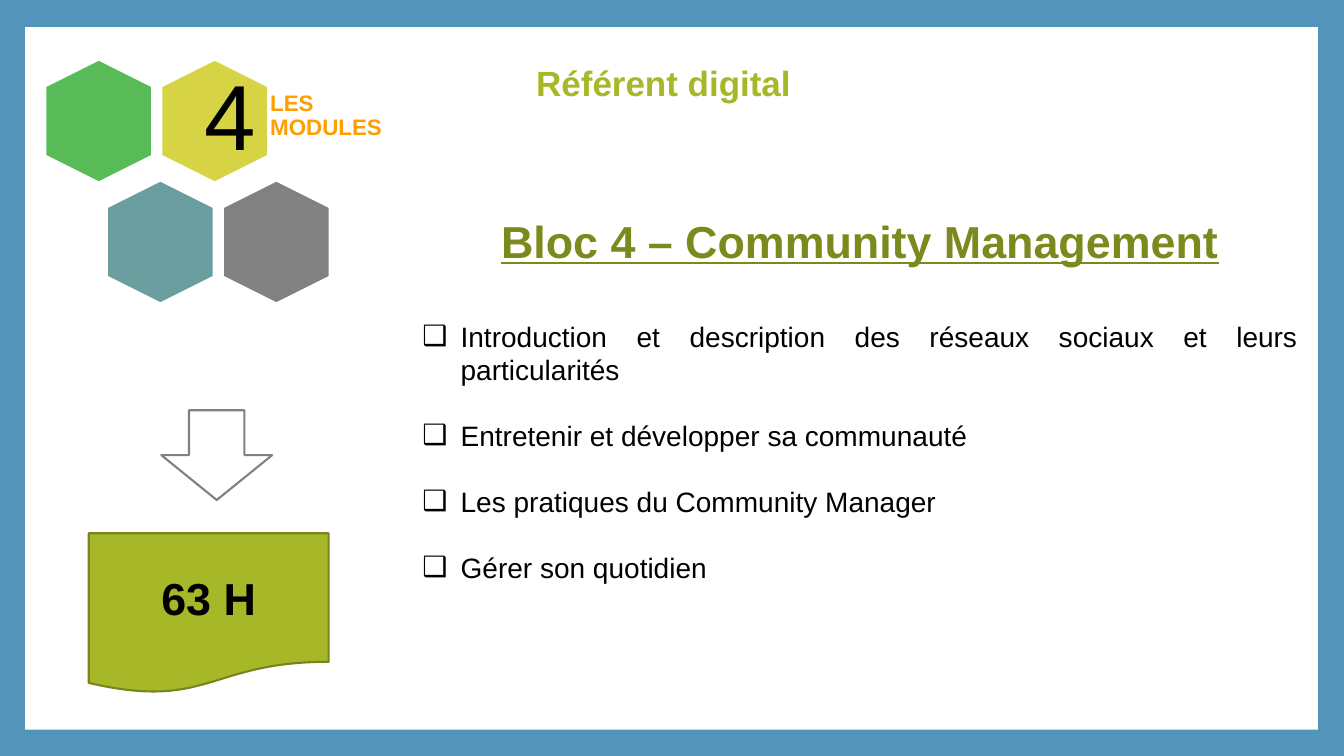
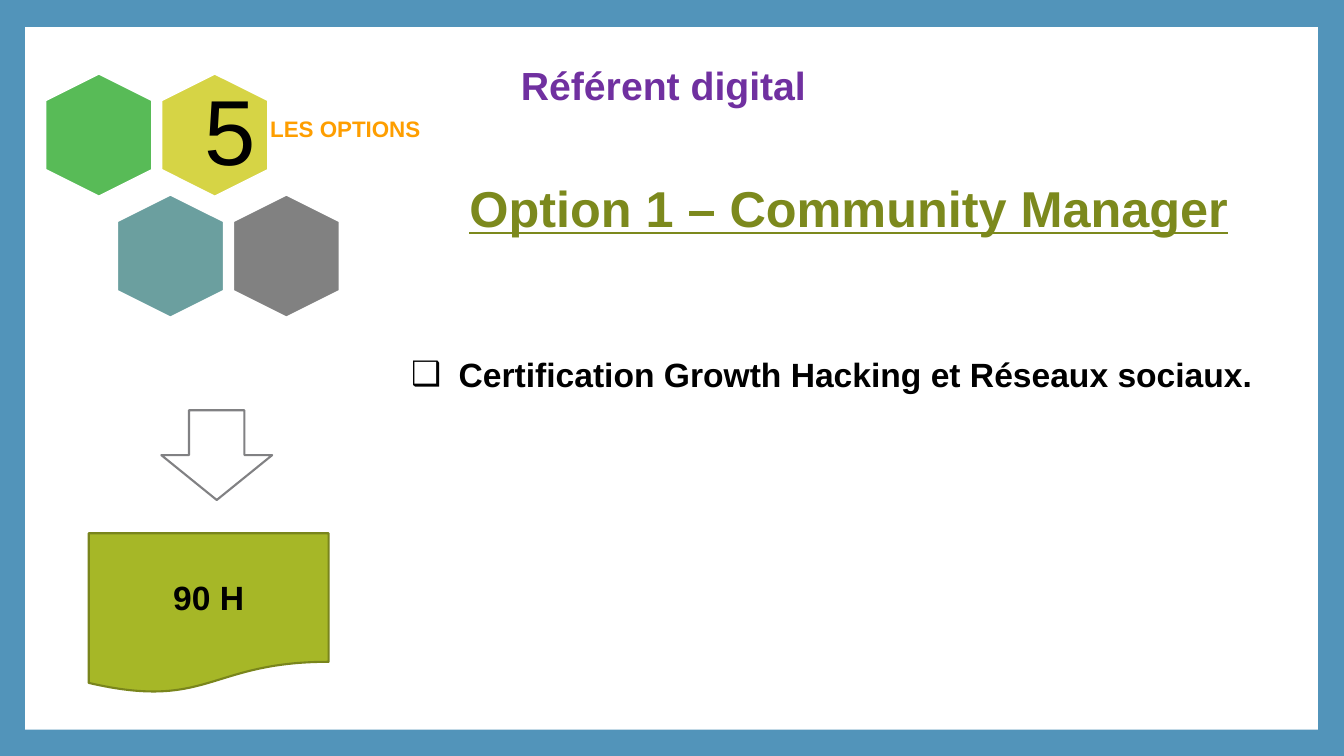
from lxml import etree
from pptx import Presentation
from pptx.dml.color import RGBColor
from pptx.enum.shapes import MSO_SHAPE as Shape
from pptx.enum.text import MSO_ANCHOR as Anchor, PP_ALIGN as Align
from pptx.oxml.ns import qn
from pptx.util import Inches, Pt

FONT = "Arial"
BORDER, WHITE, BLACK = "5294BA", "FFFFFF", "000000"
GREEN, YELLOW, TEAL, GREY = "58BB57", "D6D445", "6B9F9F", "818181"
LIME, LIME_EDGE, OLIVE = "A6B727", "79851C", "7C891D"
ORANGE, PURPLE, ARROW_EDGE = "FE9E00", "7030A0", "818183"

HEXAGON_LENGTH, HEXAGON_WIDTH = 1.22, 1.06
COLUMN_STEP, ROW_STEP = 1.15, 1.2


def rgb(color):
    return RGBColor.from_string(color)


def style_text(para, size, color, bold=False, underline=False):
    for span in para.runs:
        span.font.name = FONT
        span.font.size = Pt(size)
        span.font.bold = bold
        span.font.underline = underline
        span.font.color.rgb = rgb(color)


def add_shape(page, kind, left, top, width, height, fill, edge=None):
    shape = page.shapes.add_shape(
        kind, Inches(left), Inches(top), Inches(width), Inches(height))
    shape.shadow.inherit = False
    shape.fill.solid()
    shape.fill.fore_color.rgb = rgb(fill)
    if edge:
        shape.line.color.rgb = rgb(edge)
        shape.line.width = Pt(1.5)
    else:
        shape.line.fill.background()
    return shape


def add_box(page, left, top, width, height, inset=None, anchor=Anchor.TOP):
    box = page.shapes.add_textbox(
        Inches(left), Inches(top), Inches(width), Inches(height))
    frame = box.text_frame
    frame.word_wrap = True
    frame.vertical_anchor = anchor
    if inset is not None:
        frame.margin_left = frame.margin_right = Inches(inset)
        frame.margin_top = frame.margin_bottom = Inches(inset)
    return frame


def add_bullet(para, indent):
    """Give the paragraph a hanging square bullet."""
    props = para._p.get_or_add_pPr()
    props.set("marL", str(Inches(indent)))
    props.set("indent", str(-Inches(indent)))
    color = etree.SubElement(props, qn("a:buClr"))
    etree.SubElement(color, qn("a:srgbClr"), val=BLACK)
    etree.SubElement(props, qn("a:buFont"), typeface=FONT)
    etree.SubElement(props, qn("a:buChar"), char="❑")


def add_page(deck, title_size, title_color):
    """Blank page with the white panel and the course title."""
    page = deck.slides.add_slide(deck.slide_layouts[6])
    add_shape(page, Shape.RECTANGLE, 0.25, 0.27, 12.82, 6.97, WHITE)
    para = add_box(page, 2.26, 0.56, 8.64, 0.55).paragraphs[0]
    para.text = "Référent digital"
    para.alignment = Align.CENTER
    style_text(para, title_size, title_color, bold=True)
    return page


def add_section_badge(page, number, label, label_width, top, lower_left):
    # Two rows of two hexagons
    rows = [(0.37, (GREEN, YELLOW)), (lower_left, (TEAL, GREY))]
    for row, (left, colors) in enumerate(rows):
        for column, color in enumerate(colors):
            hexagon = add_shape(
                page, Shape.HEXAGON, left + column * COLUMN_STEP,
                top + row * ROW_STEP, HEXAGON_LENGTH, HEXAGON_WIDTH,
                color, WHITE)
            hexagon.rotation = 90

    # Section number and name
    number_frame = add_box(page, 1.76, top + 0.11, 0.73, 0.84, 0.27, Anchor.MIDDLE)
    label_frame = add_box(page, 2.61, top - 0.29, label_width, 1.54, 0.07, Anchor.MIDDLE)
    number_frame.text, label_frame.text = number, label
    number_para, label_para = number_frame.paragraphs[0], label_frame.paragraphs[0]
    number_para.alignment = Align.CENTER
    number_para.line_spacing = label_para.line_spacing = 0.9
    style_text(number_para, 66, BLACK)
    style_text(label_para, 16, ORANGE, bold=True)


def add_duration(page, hours, size):
    add_shape(page, Shape.DOWN_ARROW, 1.6, 4.07, 1.1, 0.89, WHITE, ARROW_EDGE)
    document = add_shape(page, Shape.FLOWCHART_DOCUMENT,
                         0.88, 5.29, 2.38, 1.59, LIME, LIME_EDGE)
    document.text_frame.text = hours
    document.text_frame.vertical_anchor = Anchor.MIDDLE
    para = document.text_frame.paragraphs[0]
    para.alignment = Align.CENTER
    style_text(para, size, BLACK, bold=True)


def add_program(page, place, heading, heading_size, heading_gap,
                items, item_size, indent, bold=False):
    """Underlined heading followed by the bulleted topics."""
    frame = add_box(page, *place)
    frame.text = heading
    para = frame.paragraphs[0]
    para.alignment = Align.CENTER
    para.space_after = Pt(heading_gap)
    style_text(para, heading_size, OLIVE, bold=True, underline=True)
    for item in items:
        para = frame.add_paragraph()
        para.text = item
        para.alignment = Align.JUSTIFY
        para.space_after = Pt(23)
        style_text(para, item_size, BLACK, bold)
        add_bullet(para, indent)


def main():
    deck = Presentation()
    deck.slide_width, deck.slide_height = Inches(13.33), Inches(7.5)
    background = deck.slide_master.background.fill
    background.solid()
    background.fore_color.rgb = rgb(BORDER)

    # Module page
    page = add_page(deck, 25, LIME)
    add_section_badge(page, "4", "LES MODULES", 1.51, top=0.67, lower_left=0.98)
    add_program(page, (4.09, 2.07, 8.88, 3.97),
                "Bloc 4 – Community Management", 32, 37,
                ["Introduction et description des réseaux sociaux et leurs particularités",
                 "Entretenir et développer sa communauté",
                 "Les pratiques du Community Manager",
                 "Gérer son quotidien"], 20, indent=0.38)
    add_duration(page, "63 H", 32)

    # Option page
    page = add_page(deck, 28, PURPLE)
    add_section_badge(page, "5", "LES OPTIONS", 1.73, top=0.81, lower_left=1.08)
    add_program(page, (3.98, 1.71, 8.88, 1.9),
                "Option 1 – Community Manager", 36, 83,
                ["Certification Growth Hacking et Réseaux sociaux."],
                24, indent=0.47, bold=True)
    add_duration(page, "90 H", 24)

    deck.save("out.pptx")


if __name__ == "__main__":
    main()
